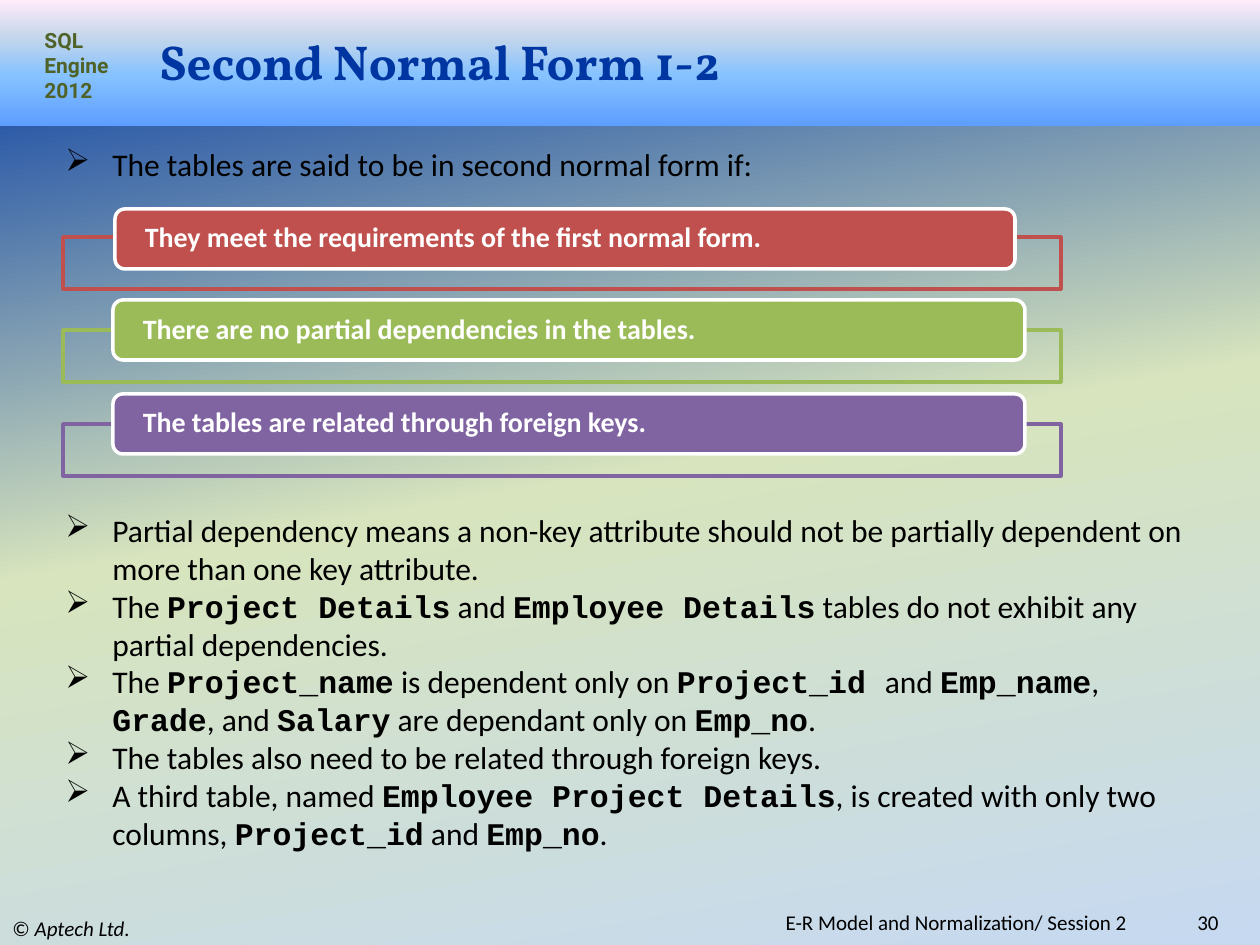
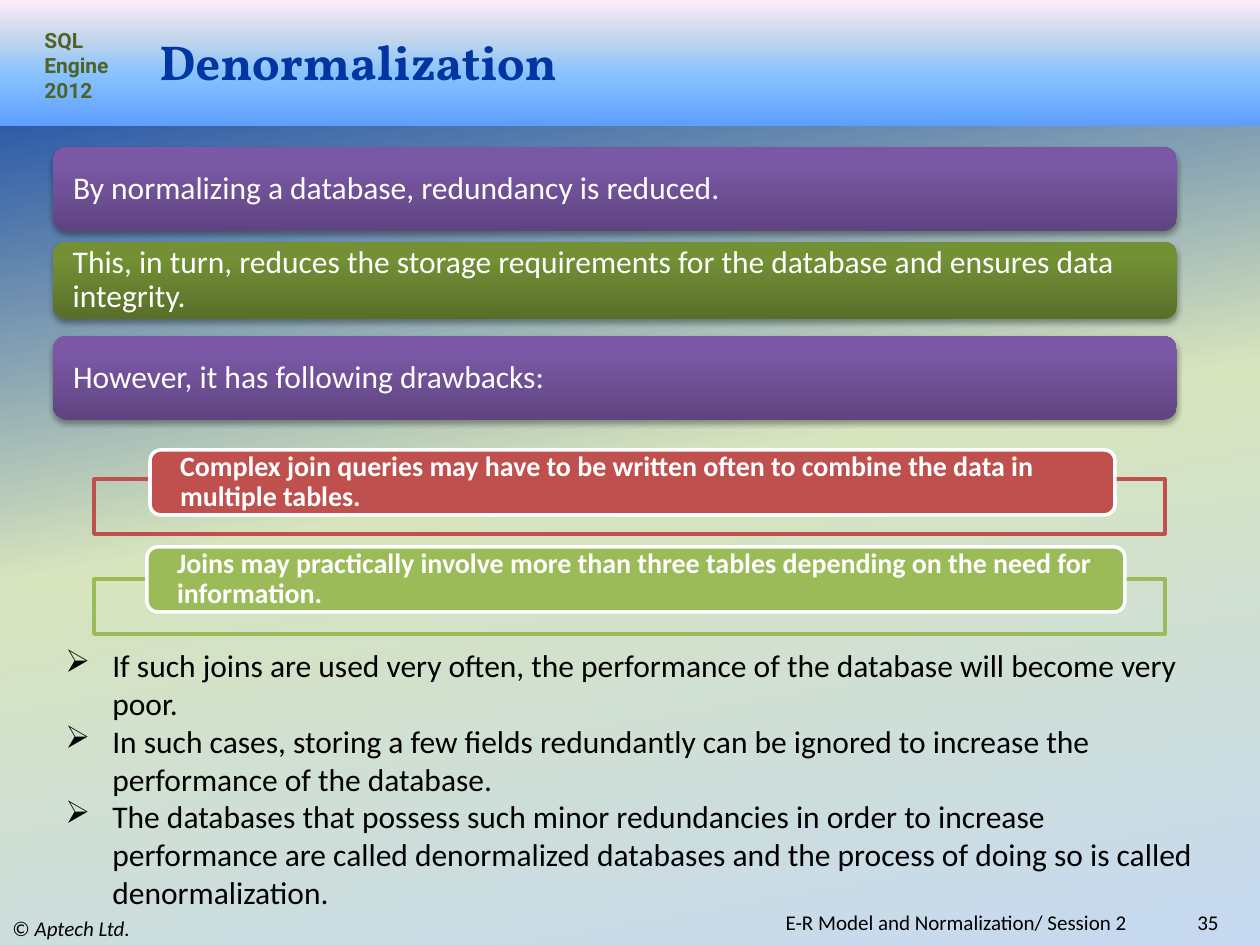
from lxml import etree
from pptx import Presentation
from pptx.dml.color import RGBColor
from pptx.enum.shapes import MSO_SHAPE as SHAPE
from pptx.enum.text import MSO_ANCHOR as ANCHOR, PP_ALIGN as ALIGN
from pptx.oxml.ns import qn
from pptx.util import Inches, Pt

rgb = RGBColor.from_string
PX = Inches(10) // 1260

RED, GREEN, PURPLE, WHITE, BLACK, NAVY = "C0504D", "9BBB59", "8064A2", "FFFFFF", "000000", "0036A2"
BACKGROUND = [(0, NAVY), (50, "D7E4BD"), (100, "C6D9F1")]
BAND = [(0, "5E9EFF"), (40, "85C2FF"), (70, "C4D6EB"), (100, "FFEBFA")]
PURPLE_FADE = [(0, "5F4480"), (80, "7B58A6"), (100, "7C57A8")]
GREEN_FADE = [(0, "596F29"), (80, "739035"), (100, "749334")]

BODY = dict(name="Calibri", size=Pt(18), color=BLACK)
CODE = dict(name="Courier New", bold=True)
SMALL = dict(BODY, size=Pt(12))
TAG = dict(name="Roboto", size=Pt(12), bold=True, color="4F6228")
TITLE = dict(name="Vollkorn", size=Pt(28), bold=True, color=NAVY)
PANEL = dict(BODY, color=WHITE)
BAR = dict(PANEL, size=Pt(16), bold=True)

SLIDES = [
    dict(
        title="Second Normal Form 1-2",
        number="30",
        panels=[],
        frame=(63, 998, 52),
        bars=[
            (237, (115, 209, 900, 60), RED, "They meet the requirements of the first normal form."),
            (330, (113, 300, 912, 60), GREEN, "There are no partial dependencies in the tables."),
            (424, (113, 394, 912, 60), PURPLE, "The tables are related through foreign keys."),
        ],
        bullets=[
            ((53, 139, 1144, 50), ["The tables are said to be in second normal form if:"]),
            ((53, 505, 1144, 357), [
                "Partial dependency means a non-key attribute should not be partially "
                "dependent on more than one key attribute.",
                "The `Project Details` and `Employee Details` tables do not exhibit any "
                "partial dependencies.",
                "The `Project_name` is dependent only on `Project_id `and `Emp_name`, "
                "`Grade`, and `Salary` are dependant only on `Emp_no`.",
                "The tables also need to be related through foreign keys.",
                "A third table, named `Employee Project Details`, is created with only "
                "two columns, `Project_id` and `Emp_no`.",
            ]),
        ],
    ),
    dict(
        title="Denormalization",
        number="35",
        panels=[
            (147, 84, PURPLE_FADE, "By normalizing a database, redundancy is reduced."),
            (242, 77, GREEN_FADE, "This, in turn, reduces the storage requirements for the "
                                  "database and ensures data integrity."),
            (336, 84, PURPLE_FADE, "However, it has following drawbacks:"),
        ],
        frame=(94, 1071, 55),
        bars=[
            (479, (150, 450, 965, 65), RED, "Complex join queries may have to be written often "
                                            "to combine the data in multiple tables."),
            (579, (147, 547, 978, 65), GREEN, "Joins may practically involve more than three "
                                              "tables depending on the need for information."),
        ],
        bullets=[
            ((53, 640, 1155, 280), [
                "If such joins are used very often, the performance of the database will "
                "become very poor.",
                "In such cases, storing a few fields redundantly can be ignored to increase "
                "the performance of the database.",
                "The databases that possess such minor redundancies in order to increase "
                "performance are called denormalized databases and the process of doing so "
                "is called denormalization.",
            ]),
        ],
    ),
]


def add_gradient(fill, root, stops, angle):
    """Give fill, the first gradient inside root, its (percent, colour) stops."""
    fill.gradient()
    grad = next(root.iter(qn("a:gradFill")))
    gs_lst = grad.find(qn("a:gsLst"))
    for gs in list(gs_lst):
        gs_lst.remove(gs)
    for pos, color in stops:
        gs = etree.SubElement(gs_lst, qn("a:gs"), pos=str(pos * 1000))
        etree.SubElement(gs, qn("a:srgbClr"), val=color)
    grad.find(qn("a:lin")).set("ang", str(angle * 60000))


def add_box(s, box, paras=(), fmt=BODY, shape=None, bullet=False, inset=None, **layout):
    """Add a text box or preset shape; backticks in the text mark code."""
    box = [v * PX for v in box]
    if shape is None:
        sp = s.shapes.add_textbox(*box)
    else:
        sp = s.shapes.add_shape(shape, *box)
        sp.shadow.inherit = False
        sp.line.fill.background()
    tf = sp.text_frame
    tf.word_wrap = True
    tf.vertical_anchor = layout.get("anchor", ANCHOR.MIDDLE)
    if inset is not None:
        tf.margin_left = tf.margin_right = inset * PX
        tf.margin_top = tf.margin_bottom = 0
    for i, text in enumerate(paras):
        p = tf.add_paragraph() if i else tf.paragraphs[0]
        p.alignment = layout.get("align", ALIGN.LEFT)
        p.line_spacing = layout.get("spacing")
        if bullet:
            pPr = p._p.get_or_add_pPr()
            pPr.set("marL", str(47 * PX))
            pPr.set("indent", str(-47 * PX))
            etree.SubElement(pPr, qn("a:buChar"), char="➢")
        for j, part in enumerate(text.split("`")):
            if not part:
                continue
            r = p.add_run()
            r.text = part
            for key, value in dict(fmt, **(CODE if j % 2 else {})).items():
                if key == "color":
                    r.font.color.rgb = rgb(value)
                else:
                    setattr(r.font, key, value)
    return sp


prs = Presentation()
prs.slide_width, prs.slide_height = Inches(10), Inches(7.5)

for page in SLIDES:
    s = prs.slides.add_slide(prs.slide_layouts[6])
    add_gradient(s.background.fill, s.element, BACKGROUND, 80)

    band = add_box(s, (0, 0, 1260, 126), shape=SHAPE.RECTANGLE)
    add_gradient(band.fill, band.element, BAND, 270)
    owner = add_box(s, (0, 911, 420, 34), ["© `Aptech Ltd."], SMALL)
    mark, name = owner.text_frame.paragraphs[0].runs
    for key, value in dict(name="Calibri", bold=False, italic=True).items():
        setattr(name.font, key, value)
    add_box(s, (32, 21, 95, 89), ["SQL Engine 2012"], TAG, anchor=ANCHOR.TOP)
    add_box(s, (1124, 911, 107, 23), [page["number"]], SMALL, align=ALIGN.RIGHT)
    add_box(s, (315, 911, 829, 23), ["E-R Model and Normalization/ Session 2 "], SMALL,
            align=ALIGN.RIGHT)
    add_box(s, (147, 32, 1050, 57), [page["title"]], TITLE)

    for top, height, fade, text in page["panels"]:
        sp = add_box(s, (53, top, 1124, height), [text], PANEL, SHAPE.ROUNDED_RECTANGLE,
                     inset=16, spacing=0.9)
        add_gradient(sp.fill, sp.element, fade, 270)
        effects = sp.element.spPr.find(qn("a:effectLst"))
        shadow = etree.SubElement(effects, qn("a:outerShdw"), blurRad=str(Pt(3.1)),
                                  dist=str(Pt(1.8)), dir="5400000", rotWithShape="0")
        color = etree.SubElement(shadow, qn("a:srgbClr"), val=BLACK)
        etree.SubElement(color, qn("a:alpha"), val="35000")

    left, width, height = page["frame"]
    for top, bar_box, color, text in page["bars"]:
        frame = add_box(s, (left, top, width, height), shape=SHAPE.RECTANGLE)
        frame.fill.background()
        bar = add_box(s, bar_box, [text], BAR, SHAPE.ROUNDED_RECTANGLE, inset=27, spacing=0.9)
        bar.fill.solid()
        bar.fill.fore_color.rgb = rgb(color)
        for sp, line_color in ((frame, color), (bar, WHITE)):
            sp.line.color.rgb = rgb(line_color)
            sp.line.width = Pt(2)

    for box, paras in page["bullets"]:
        add_box(s, box, paras, bullet=True, anchor=ANCHOR.TOP)

prs.save("out.pptx")
